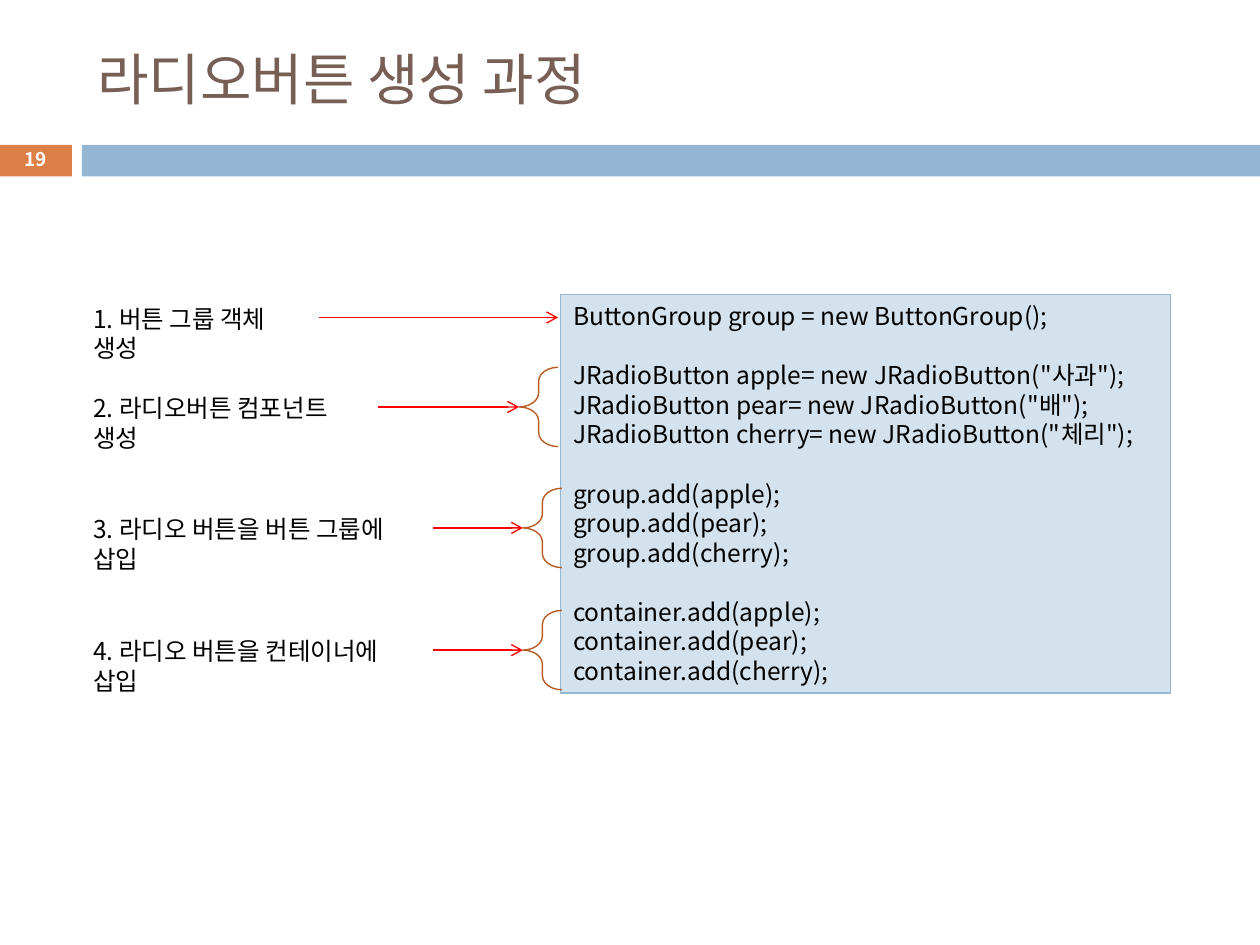
from lxml import etree
from pptx import Presentation
from pptx.dml.color import RGBColor
from pptx.enum.shapes import MSO_CONNECTOR, MSO_SHAPE
from pptx.enum.text import MSO_ANCHOR, MSO_AUTO_SIZE, PP_ALIGN
from pptx.oxml.ns import qn
from pptx.util import Inches, Pt

RECT, BRACE = MSO_SHAPE.RECTANGLE, MSO_SHAPE.LEFT_BRACE
LINE = MSO_CONNECTOR.STRAIGHT
LEFT, CENTER = PP_ALIGN.LEFT, PP_ALIGN.CENTER
TOP, MIDDLE = MSO_ANCHOR.TOP, MSO_ANCHOR.MIDDLE
NO_FIT = MSO_AUTO_SIZE.NONE

FONT = "Noto Sans CJK KR"
ORANGE = RGBColor(0xDD, 0x80, 0x47)
BLUE = RGBColor(0x94, 0xB6, 0xD2)
PALE = RGBColor(0xD4, 0xE2, 0xED)
BROWN = RGBColor(0x77, 0x5F, 0x55)
RUST = RGBColor(0xB9, 0x5B, 0x22)
RED = RGBColor(0xFF, 0, 0)
BLACK = RGBColor(0, 0, 0)
WHITE = RGBColor(0xFF, 0xFF, 0xFF)

PITCH = 16.9  # line height of labels and code, in points
THIN = 0.79
LABEL_X = 0.64

CODE = [
    ["ButtonGroup group = new ButtonGroup();"],
    ['JRadioButton apple= new JRadioButton("사과");',
     'JRadioButton pear= new JRadioButton("배");',
     'JRadioButton cherry= new JRadioButton("체리");'],
    ["group.add(apple);", "group.add(pear);", "group.add(cherry);"],
    ["container.add(apple);", "container.add(pear);",
     "container.add(cherry);"],
]

# label, top, width, arrow end, has brace
STEPS = [
    ("1. 버튼 그룹 객체 생성", 2.36, 1.89, 4.43, False),
    ("2. 라디오버튼 컴포넌트 생성", 3.07, 2.36, 4.12, True),
    ("3. 라디오 버튼을 버튼 그룹에 삽입", 4.03, 2.8, 4.15, True),
    ("4. 라디오 버튼을 컨테이너에 삽입", 5, 2.8, 4.15, True),
]


def write(shape, groups, size=14, color=BLACK, bold=False, align=LEFT,
          anchor=TOP, pitch=None):
    """Fill a shape with groups of lines, one line's height between groups."""
    frame = shape.text_frame
    frame.word_wrap = True
    frame.auto_size = NO_FIT
    frame.vertical_anchor = anchor
    lines = [(text, i > 0 and j == 0)
             for i, group in enumerate(groups)
             for j, text in enumerate(group)]
    for n, (text, gap) in enumerate(lines):
        para = frame.add_paragraph() if n else frame.paragraphs[0]
        para.alignment = align
        if pitch:
            para.line_spacing = Pt(pitch)
        if gap:
            para.space_before = Pt(pitch)
        run = para.add_run()
        run.text = text
        font = run.font
        font.name, font.size, font.bold = FONT, Pt(size), bold
        font.color.rgb = color
        east = etree.SubElement(run._r.get_or_add_rPr(), qn("a:ea"))
        east.set("typeface", FONT)


def add_box(slide, left, top, width, height, fill, line=None):
    box = slide.shapes.add_shape(RECT, Inches(left), Inches(top),
                                 Inches(width), Inches(height))
    box.shadow.inherit = False
    box.fill.solid()
    box.fill.fore_color.rgb = fill
    if line is None:
        box.line.fill.background()
    else:
        box.line.color.rgb = line
        box.line.width = Pt(0.75)
    return box


def add_text(slide, left, top, width, height, text, **style):
    box = slide.shapes.add_textbox(Inches(left), Inches(top),
                                   Inches(width), Inches(height))
    write(box, [[text]], **style)


def add_arrow(slide, start, end, y):
    arrow = slide.shapes.add_connector(LINE, Inches(start), Inches(y),
                                       Inches(end), Inches(y))
    arrow.line.color.rgb = RED
    arrow.line.width = Pt(THIN)
    etree.SubElement(arrow.line._get_or_add_ln(),
                     qn("a:tailEnd")).set("type", "arrow")
    etree.SubElement(arrow._element.spPr, qn("a:effectLst"))


def add_brace(slide, left, mid):
    height = 0.63
    brace = slide.shapes.add_shape(BRACE, Inches(left),
                                   Inches(mid - height / 2),
                                   Inches(0.31), Inches(height))
    brace.shadow.inherit = False
    brace.adjustments[0] = 0.36
    brace.fill.background()
    brace.line.color.rgb = RUST
    brace.line.width = Pt(THIN)


def add_step(slide, label, top, width, end, braced):
    add_text(slide, LABEL_X, top, width, 0.34, label, pitch=PITCH)
    mid = top + 0.16
    add_arrow(slide, LABEL_X + width, end, mid)
    if braced:
        add_brace(slide, end, mid)


def add_head(slide):
    add_box(slide, -0.01, 1.15, 0.58, 0.25, ORANGE)
    add_box(slide, 0.65, 1.15, 9.35, 0.25, BLUE)
    title = slide.shapes.title
    title.left, title.top = Inches(0.67), Inches(0.25)
    title.width, title.height = Inches(8.92), Inches(0.74)
    write(title, [["라디오버튼 생성 과정"]], size=32, color=BROWN,
          anchor=MIDDLE)
    add_text(slide, -0.01, 1.13, 0.58, 0.27, "19", size=10.8, color=WHITE,
             bold=True, align=CENTER, anchor=MIDDLE)


def main():
    deck = Presentation()
    deck.slide_width, deck.slide_height = Inches(10), Inches(7.5)
    slide = deck.slides.add_slide(deck.slide_layouts[5])
    add_head(slide)
    panel = add_box(slide, 4.45, 2.34, 4.84, 3.16, PALE, BLUE)
    write(panel, CODE, pitch=PITCH)
    for step in STEPS:
        add_step(slide, *step)
    deck.save("out.pptx")


if __name__ == "__main__":
    main()
